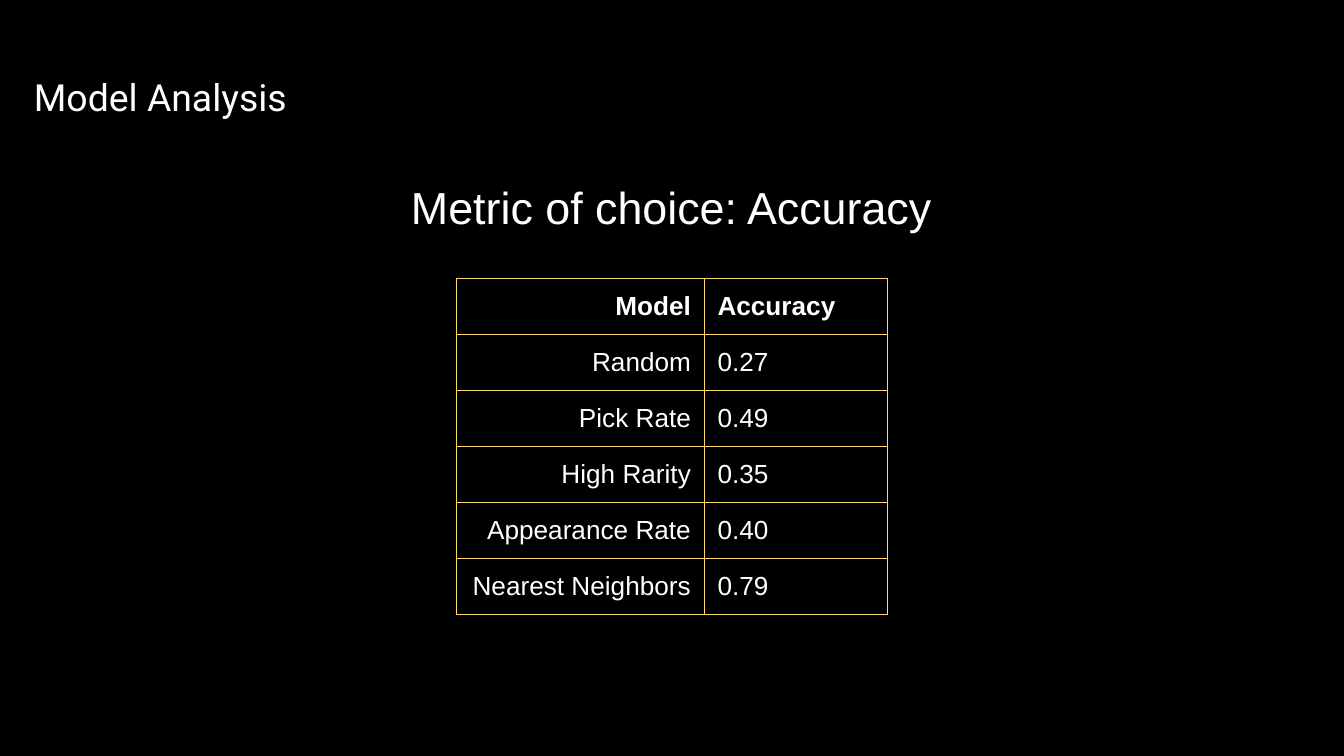
from lxml import etree
from pptx import Presentation
from pptx.dml.color import RGBColor
from pptx.enum import text
from pptx.oxml.ns import qn
from pptx.util import Cm, Pt

# Content
TITLE = "Model Analysis"
METRIC = "Metric of choice: Accuracy"
RESULTS = [
    ("Model", "Accuracy"),
    ("Random", "0.27"),
    ("Pick Rate", "0.49"),
    ("High Rarity", "0.35"),
    ("Appearance Rate", "0.40"),
    ("Nearest Neighbors", "0.79"),
]

# Style
COLORS = {"background": "000000", "text": "FFFFFF", "border": "FFD966"}
COLUMN_WIDTHS = (4.68, 3.46)
COLUMN_ALIGNS = (text.PP_ALIGN.RIGHT, text.PP_ALIGN.LEFT)
ROW_HEIGHT = 1.06
PADDING = Cm(0.25)


def set_margins(item, size):
    item.margin_left = item.margin_right = size
    item.margin_top = item.margin_bottom = size


def write(frame, words, size, font="Arial", align=text.PP_ALIGN.LEFT, bold=False):
    para = frame.paragraphs[0]
    para.alignment = align
    span = para.add_run()
    span.text = words
    span.font.name = font
    span.font.size = Pt(size)
    span.font.bold = bold
    span.font.color.rgb = RGBColor.from_string(COLORS["text"])
    return para


def add_borders(cell):
    properties = cell._tc.get_or_add_tcPr()
    for index, side in enumerate(("lnL", "lnR", "lnT", "lnB")):
        line = etree.Element(qn(f"a:{side}"), w=str(Pt(0.75)))
        fill = etree.SubElement(line, qn("a:solidFill"))
        etree.SubElement(fill, qn("a:srgbClr"), val=COLORS["border"])
        properties.insert(index, line)


def main():
    deck = Presentation()
    deck.slide_width, deck.slide_height = Cm(25.4), Cm(14.29)
    page = deck.slides.add_slide(deck.slide_layouts[5])
    page.background.fill.solid()
    page.background.fill.fore_color.rgb = RGBColor.from_string(COLORS["background"])

    # Title
    title = page.shapes.title
    title.left, title.top, title.width, title.height = Cm(0.64), Cm(1.27), Cm(11.56), Cm(1.3)
    frame = title.text_frame
    set_margins(frame, 0)
    frame.vertical_anchor = text.MSO_ANCHOR.TOP
    frame.auto_size = text.MSO_AUTO_SIZE.NONE
    write(frame, TITLE, 20, font="Roboto").line_spacing = 1.15

    # Accuracy table
    table = page.shapes.add_table(
        len(RESULTS), len(COLUMN_WIDTHS), Cm(8.63), Cm(5.26),
        Cm(sum(COLUMN_WIDTHS)), Cm(ROW_HEIGHT * len(RESULTS))).table
    table.horz_banding = False
    for column, width in zip(table.columns, COLUMN_WIDTHS):
        column.width = Cm(width)
    for r, values in enumerate(RESULTS):
        table.rows[r].height = Cm(ROW_HEIGHT)
        for c, value in enumerate(values):
            cell = table.cell(r, c)
            set_margins(cell, PADDING)
            cell.fill.background()
            add_borders(cell)
            write(cell.text_frame, value, 14, align=COLUMN_ALIGNS[c], bold=r == 0)

    # Metric heading
    box = page.shapes.add_textbox(Cm(5.28), Cm(3.15), Cm(14.81), Cm(1.55))
    frame = box.text_frame
    frame.word_wrap = True
    frame.auto_size = text.MSO_AUTO_SIZE.SHAPE_TO_FIT_TEXT
    set_margins(frame, PADDING)
    write(frame, METRIC, 24, align=text.PP_ALIGN.CENTER)

    deck.save("out.pptx")


if __name__ == "__main__":
    main()
